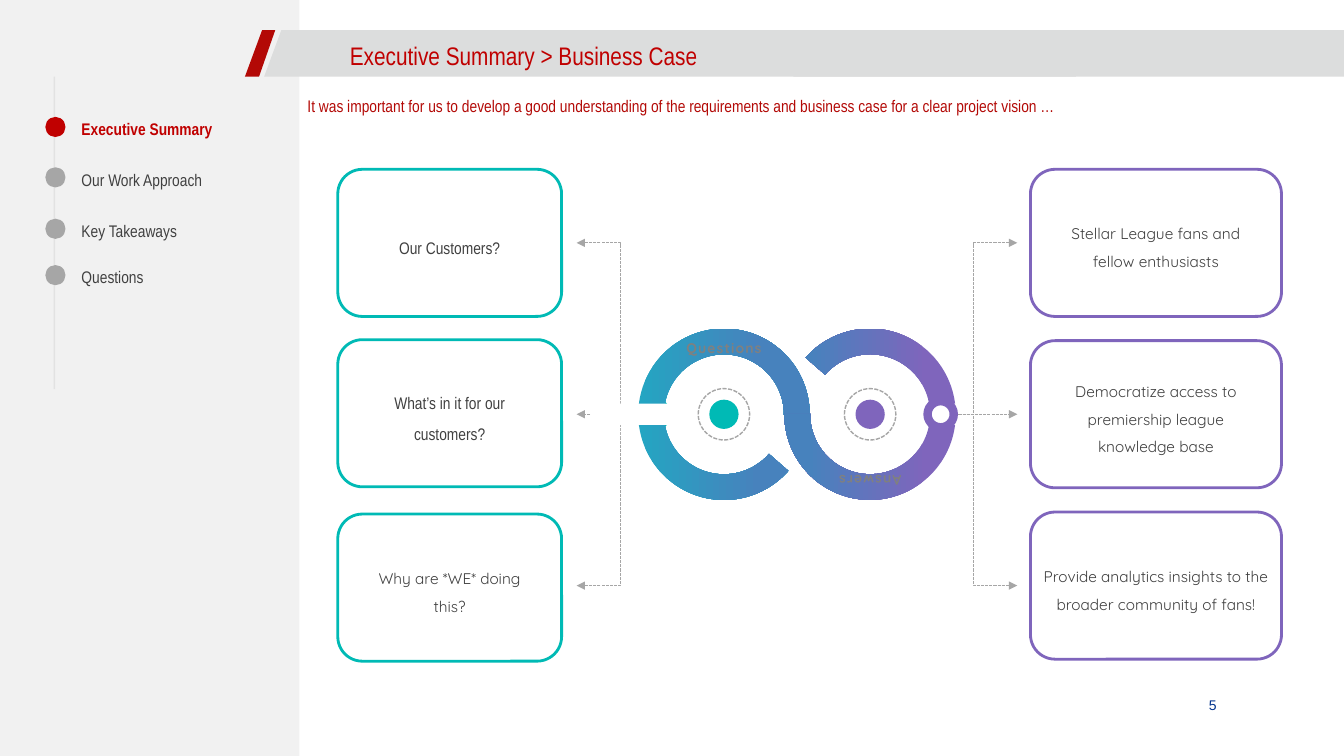
from lxml import etree
from pptx import Presentation
from pptx.dml.color import RGBColor
from pptx.enum.dml import MSO_LINE
from pptx.enum.shapes import MSO_CONNECTOR as CONN, MSO_SHAPE as SHAPE
from pptx.enum.text import MSO_ANCHOR as ANCHOR, MSO_AUTO_SIZE as FIT, PP_ALIGN as ALIGN
from pptx.oxml.ns import qn
from pptx.util import Inches, Pt

RED, DARK_RED, TEAL, PURPLE, BLUE = "C00000", "B30906", "00BAB5", "7F65BC", "4782BD"
WHITE, GREY, TEXT, BAR = "FFFFFF", "A6A6A6", "404040", "DCDDDD"
NARROW, ROUND = "Arial Narrow", "Quicksand"


def rgb(value):
    return RGBColor.from_string(value)


def style(sp, fill=None, line=None, width=1):
    sp.shadow.inherit = False
    if fill:
        sp.fill.solid()
        sp.fill.fore_color.rgb = rgb(fill)
    else:
        sp.fill.background()
    if line:
        sp.line.color.rgb = rgb(line)
        sp.line.width = Pt(width)
    else:
        sp.line.fill.background()
    return sp


def shape(s, kind, x, y, w, h, fill=None, line=None, width=1):
    sp = s.shapes.add_shape(kind, Inches(x), Inches(y), Inches(w), Inches(h))
    return style(sp, fill, line, width)


def centred(s, kind, cx, cy, w, h, *look):
    return shape(s, kind, cx - w / 2, cy - h / 2, w, h, *look)


def polygon(s, points, fill):
    pts = [(Inches(x), Inches(y)) for x, y in points]
    fb = s.shapes.build_freeform(*pts[0], scale=1.0)
    fb.add_line_segments(pts[1:], close=True)
    return style(fb.convert_to_shape(), fill)


def connector(s, kind, x1, y1, x2, y2, width):
    c = s.shapes.add_connector(kind, *map(Inches, (x1, y1, x2, y2)))
    c.line.color.rgb = rgb(GREY)
    c.line.width = Pt(width)
    etree.SubElement(c._element.spPr, qn("a:effectLst"))
    return c


def write(sp, text, size, font, color, insets=(0, 0, 0, 0), anchor=ANCHOR.TOP,
          align=ALIGN.LEFT, bold=False, wrap=True):
    tf = sp.text_frame
    tf.auto_size = FIT.NONE
    tf.word_wrap = wrap
    tf.vertical_anchor = anchor
    tf.margin_left, tf.margin_top, tf.margin_right, tf.margin_bottom = map(Inches, insets)
    p = tf.paragraphs[0]
    p.text, p.alignment = text, align
    p.font.size, p.font.name, p.font.bold = Pt(size), font, bold
    p.font.color.rgb = rgb(color)
    return p


def textbox(s, x, y, w, h, *args, **kwargs):
    sp = s.shapes.add_textbox(Inches(x), Inches(y), Inches(w), Inches(h))
    return sp, write(sp, *args, **kwargs)


def header(s, x, y, h, title, lead):
    # Bar with a slanted end and a red slash
    shape(s, SHAPE.RECTANGLE, 7.87, y, 13.33 - 7.87, h, BAR)
    polygon(s, [(x + 0.19, y + h), (x + 0.36, y), (10.67, y), (10.67, y + h)], BAR)
    polygon(s, [(x + 0.17, y), (x + 0.3, y), (x + 0.14, y + h), (x, y + h)], DARK_RED)
    # Title and lead sentence
    t = s.shapes.title
    s.shapes._spTree.append(t._element)
    t.left, t.top, t.width, t.height = map(Inches, (x + 1.04, y + 0.09, 8.19, 0.32))
    write(t, title, 18.1, NARROW, RED, (0, 0.05, 0.1, 0.05), ANCHOR.MIDDLE)
    textbox(s, x + 0.62, y + 0.61, 10.13, 0.58, lead, 12, NARROW, DARK_RED,
            (0, 0.04, 0.08, 0.04))


def sidebar(s, w, h, items):
    shape(s, SHAPE.RECTANGLE, 0, 0, w, h, "F1F1F1")
    rail = connector(s, CONN.STRAIGHT, 0.54, 0.76, 0.54, 3.86, 1)
    color = rail._element.spPr.find(".//" + qn("a:srgbClr"))
    etree.SubElement(color, qn("a:alpha"), val="20000")
    for i, (y, label) in enumerate(items):
        active = i == 0
        textbox(s, 0.71, y, 2.25, 0.3, label, 12, NARROW, RED if active else TEXT,
                (0.1, 0.05, 0.1, 0.05), bold=active, wrap=False)
        shape(s, SHAPE.OVAL, 0.45, y + 0.03, 0.2, 0.2, RED if active else GREY)


def cards(s, x, w, color, items):
    h = 1.46
    for y, text_w, font, size, text in items:
        shape(s, SHAPE.ROUNDED_RECTANGLE, x, y, w, h, WHITE, color, 2)
        _, p = textbox(s, x + (w - text_w) / 2, y + 0.3, text_w, h - 0.6, text, size,
                       font, TEXT, anchor=ANCHOR.MIDDLE, align=ALIGN.CENTER)
        p.line_spacing = 1.5


def branches(s, cx, cy, side):
    for y in (cy - 1.7, cy, cy + 1.7):
        c = connector(s, CONN.ELBOW, cx + side * 0.59, cy, cx + side * 1.46, y, 0.75)
        c.line.dash_style = MSO_LINE.SQUARE_DOT
        etree.SubElement(c.line._get_or_add_ln(), qn("a:tailEnd"), type="triangle")


def ring_end(s, cx, cy, side, color):
    centred(s, SHAPE.OVAL, cx + side * 0.7, cy, 0.26, 0.26, WHITE, color, 6)


def loop(s, cx, cy, side, color, stops, label):
    """One half of the infinity sign; side is -1 for left and 1 for right."""
    turn = 180 if side < 0 else 0
    if side < 0:
        branches(s, cx, cy, side)
        ring_end(s, cx, cy, side, color)
    # Gradient arc
    arc = centred(s, SHAPE.BLOCK_ARC, cx, cy, 1.7, 1.7)
    arc.rotation = turn
    for i, value in enumerate((132.8, 108.3, 0.15)):
        arc.adjustments[i] = value
    arc.fill.gradient()
    arc.fill.gradient_angle = 180
    for stop, (position, value) in zip(arc.fill.gradient_stops, stops):
        stop.position = position
        stop.color.rgb = rgb(value)
    # White gap and centre
    gap = centred(s, SHAPE.DOWN_ARROW, cx + side * 0.62, cy, 0.5, 1.41, WHITE)
    gap.rotation = 180 - side * -90
    gap.adjustments[0], gap.adjustments[1] = 0.42, 0.59
    centred(s, SHAPE.OVAL, cx, cy, 0.85, 0.85, WHITE)
    # Label on the arc
    sp, p = textbox(s, cx - 0.74, cy + side * 0.66 - 0.45, 1.48, 0.9, label, 10, ROUND,
                    "808080", anchor=ANCHOR.MIDDLE, align=ALIGN.CENTER, bold=True)
    sp.rotation = 180 - turn
    p.runs[0]._r.get_or_add_rPr().set("spc", "80")
    # Dot with dashed halo
    centred(s, SHAPE.OVAL, cx, cy, 0.29, 0.29, color)
    halo = centred(s, SHAPE.OVAL, cx, cy, 0.51, 0.51, None, GREY, 1)
    halo.line.dash_style = MSO_LINE.SQUARE_DOT
    if side > 0:
        branches(s, cx, cy, side)
        ring_end(s, cx, cy, side, color)


def main():
    prs = Presentation()
    prs.slide_width, prs.slide_height = Inches(13.33), Inches(7.5)
    s = prs.slides.add_slide(prs.slide_layouts[5])
    sidebar(s, 2.97, 7.5, [(1.13, "Executive Summary"), (1.63, "Our Work Approach"),
                           (2.14, "Key Takeaways"), (2.6, "Questions")])
    header(s, 2.43, 0.3, 0.46, "Executive Summary > Business Case",
           "It was important for us to develop a good understanding of the requirements "
           "and business case for a clear project vision …")
    loop(s, 7.18, 4.11, -1, TEAL, [(0, "24A5C2"), (0.71, BLUE)], "Questions")
    loop(s, 8.63, 4.11, 1, PURPLE, [(0.17, PURPLE), (0.86, BLUE)], "Answers")
    cards(s, 3.35, 2.22, TEAL, [
        (1.68, 1.46, NARROW, 12, "Our Customers?"),
        (3.37, 1.17, NARROW, 12, "What’s in it for our customers?"),
        (5.1, 1.74, ROUND, 11, "Why are *WE* doing this?")])
    cards(s, 10.22, 2.49, PURPLE, [
        (1.68, 1.86, ROUND, 11, "Stellar League fans and fellow enthusiasts"),
        (3.38, 2.01, ROUND, 11, "Democratize access to premiership league knowledge base"),
        (5.08, 2.28, ROUND, 11,
         "Provide analytics insights to the broader community of fans!")])
    # Slide number
    textbox(s, 11.99, 6.91, 0.28, 0.17, "5", 10, "Arial", "00338D")
    prs.save("out.pptx")


if __name__ == "__main__":
    main()
